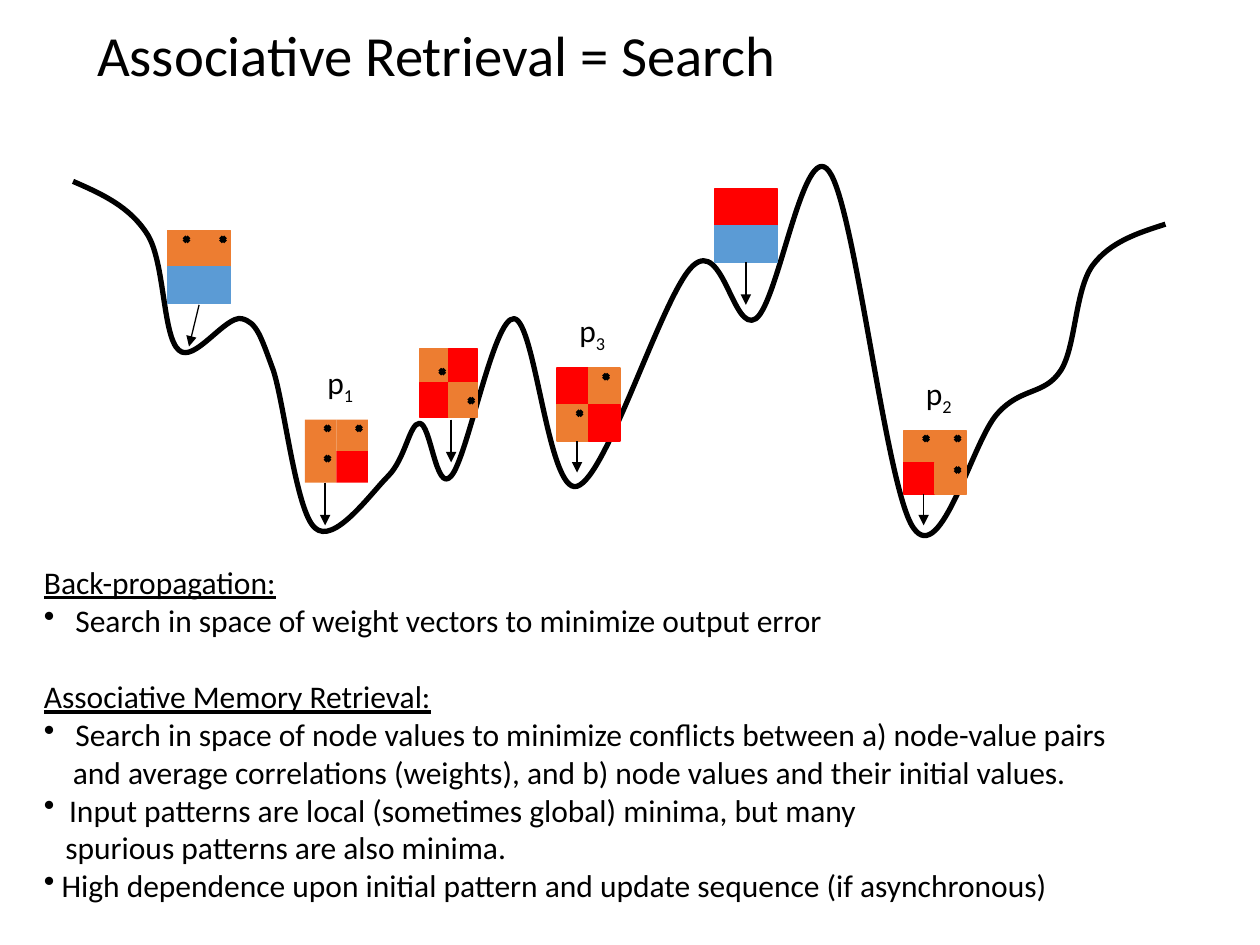
import dataclasses
import typing

import lxml.etree
import pptx
import pptx.dml.color
import pptx.enum.shapes
import pptx.enum.text
import pptx.oxml.ns
import pptx.util

Inches = pptx.util.Inches
qn = pptx.oxml.ns.qn
RGB = pptx.dml.color.RGBColor.from_string


@dataclasses.dataclass(frozen=True)
class Theme:
    font: str = "Calibri"
    ink: str = "000000"
    orange: str = "ED7D31"
    red: str = "FF0000"
    blue: str = "5B9BD5"
    title: float = 32.4
    body: float = 18
    curve: float = 3
    dot: float = 2.25
    thin: float = 0.75


class Tile(typing.NamedTuple):
    """Two by two cells; hues run row by row, dots are upper left corners."""
    left: float
    top: float
    wide: float
    high: float
    hues: str
    dots: tuple = ()
    edge: bool = True


class Arrow(typing.NamedTuple):
    start: tuple
    end: tuple


class Label(typing.NamedTuple):
    left: float
    top: float
    index: str


class Line(typing.NamedTuple):
    text: str
    indent: float = 0
    bullet: bool = False
    head: bool = False
    before: float = 0


THEME = Theme()
HUES = {"O": THEME.orange, "R": THEME.red, "B": THEME.blue}
DOT = 0.04

# Hundredths of an inch: a start point, then three points for each curve piece
CURVE = [
    (58, 144),
    (81, 154), (103, 164), (117, 186), (131, 208), (129, 267), (142, 278),
    (154, 289), (179, 250), (192, 253), (204, 256), (207, 267), (217, 294),
    (226, 322), (235, 406), (250, 419), (265, 433), (294, 392), (308, 378),
    (322, 364), (325, 336), (333, 336), (342, 336), (346, 392), (358, 378),
    (371, 364), (392, 251), (408, 253), (425, 254), (435, 393), (458, 386),
    (482, 379), (526, 233), (550, 211), (574, 189), (582, 265), (600, 253),
    (618, 240), (638, 108), (658, 136), (679, 164), (703, 388), (725, 419),
    (747, 451), (772, 349), (792, 328), (811, 307), (829, 314), (842, 294),
    (854, 275), (853, 231), (867, 211), (881, 192), (903, 185), (925, 178),
]
TILES = [
    Tile(7.17, 3.42, 0.25, 0.25, "OORO", ((7.58, 3.71), (7.33, 3.46), (7.58, 3.46))),
    Tile(4.42, 2.92, 0.25, 0.29, "ROOR", ((4.79, 2.97), (4.58, 3.26))),
    Tile(2.42, 3.33, 0.25, 0.25, "OOOR",
         ((2.83, 3.38), (2.58, 3.38), (2.58, 3.62)), edge=False),
    Tile(3.33, 2.77, 0.23, 0.27, "ORRO", ((3.72, 3.16), (3.49, 2.93))),
    Tile(1.33, 1.83, 0.25, 0.29, "OOBB", ((1.46, 1.88), (1.75, 1.88))),
    Tile(5.67, 1.5, 0.25, 0.29, "RRBB"),
]
ARROWS = [
    Arrow((3.58, 3.33), (3.58, 3.67)),
    Arrow((2.58, 3.83), (2.58, 4.17)),
    Arrow((7.33, 3.92), (7.33, 4.17)),
    Arrow((4.58, 3.5), (4.58, 3.75)),
    Arrow((1.58, 2.42), (1.5, 2.75)),
    Arrow((5.92, 2.08), (5.92, 2.42)),
]
LABELS = [Label(2.5, 2.83, "1"), Label(7.25, 2.92, "2"), Label(4.5, 2.42, "3")]
NOTES = [
    Line("Back-propagation:", head=True),
    Line("Search in space of weight vectors to minimize output error", 0.25, True),
    Line("Associative Memory Retrieval:", head=True, before=22),
    Line("Search in space of node values to minimize conflicts between "
         "a) node-value pairs", 0.25, True),
    Line("and average correlations (weights), and b) node values and "
         "their initial values.", 0.23),
    Line("Input patterns are local (sometimes global) minima, but many", 0.2, True),
    Line("spurious patterns are also minima.", 0.17),
    Line("High dependence upon initial pattern and update sequence "
         "(if asynchronous)", 0.14, True),
]


def assign(thing, values: dict) -> None:
    for name, value in values.items():
        setattr(thing, name, value)


def set_font(font, size: float, **more) -> None:
    assign(font, {"name": THEME.font, "size": pptx.util.Pt(size), **more})
    font.color.rgb = RGB(THEME.ink)


def set_line(line, hue: str, width: float) -> None:
    line.color.rgb = RGB(hue)
    line.width = pptx.util.Pt(width)


def draw_curve(shapes, points: list) -> None:
    """Turn each run of three line points into one Bezier piece."""
    form = shapes.build_freeform(*points[0], scale=Inches(0.01))
    form.add_line_segments(points[1:], close=False)
    shape = form.convert_to_shape()
    shape.fill.background()
    set_line(shape.line, THEME.ink, THEME.curve)
    shape.shadow.inherit = False
    track = shape._element.find(".//" + qn("a:path"))
    steps = track.findall(qn("a:lnTo"))
    for first in range(0, len(steps), 3):
        piece = lxml.etree.SubElement(track, qn("a:cubicBezTo"))
        for step in steps[first:first + 3]:
            piece.append(step[0])
            track.remove(step)


def draw_line(shapes, start: tuple, end: tuple, width: float, head: bool = False) -> None:
    ends = [Inches(value) for value in (*start, *end)]
    line = shapes.add_connector(pptx.enum.shapes.MSO_CONNECTOR.STRAIGHT, *ends)
    set_line(line.line, THEME.ink, width)
    if head:
        tip = lxml.etree.SubElement(line.line._get_or_add_ln(), qn("a:tailEnd"))
        tip.set("type", "triangle")
    lxml.etree.SubElement(line._element.spPr, qn("a:effectLst"))


def draw_tile(shapes, tile: Tile) -> None:
    group = shapes.add_group_shape().shapes
    for place, key in enumerate(tile.hues):
        row, col = divmod(place, 2)
        box = (tile.left + col * tile.wide, tile.top + row * tile.high,
               tile.wide, tile.high)
        cell = group.add_shape(pptx.enum.shapes.MSO_SHAPE.RECTANGLE, *map(Inches, box))
        cell.shadow.inherit = False
        cell.fill.solid()
        cell.fill.fore_color.rgb = RGB(HUES[key])
        if tile.edge:
            set_line(cell.line, HUES[key], THEME.thin)
        else:
            cell.line.fill.background()
    for x, y in tile.dots:
        draw_line(group, (x, y), (x + DOT, y + DOT), THEME.dot)
        draw_line(group, (x + DOT, y), (x, y + DOT), THEME.dot)


def draw_label(shapes, label: Label) -> None:
    box = shapes.add_textbox(*map(Inches, (label.left, label.top, 0.41, 0.4)))
    assign(box.text_frame, {"word_wrap": False,
                            "auto_size": pptx.enum.text.MSO_AUTO_SIZE.SHAPE_TO_FIT_TEXT})
    para = box.text_frame.paragraphs[0]
    for text, base in (("p", 0), (label.index, -25000)):
        run = para.add_run()
        run.text = text
        set_font(run.font, THEME.body)
        if base:
            run._r.get_or_add_rPr().set("baseline", str(base))


def draw_notes(shapes, lines: list) -> None:
    frame = shapes.add_textbox(*map(Inches, (0.25, 4.42, 9.28, 2.9))).text_frame
    frame.word_wrap = True
    for place, line in enumerate(lines):
        para = frame.add_paragraph() if place else frame.paragraphs[0]
        props = para._p.get_or_add_pPr()
        margin = Inches(line.indent)
        props.set("marL", str(margin))
        props.set("indent", str(-margin if line.bullet else 0))
        if line.before:
            para.space_before = pptx.util.Pt(line.before)
        if line.bullet:
            lxml.etree.SubElement(props, qn("a:buChar")).set("char", "•")
        run = para.add_run()
        run.text = line.text
        set_font(run.font, THEME.body, underline=line.head)


def draw_title(title) -> None:
    assign(title, dict(zip(("left", "top", "width", "height"),
                           map(Inches, (0.67, 0.25, 8.5, 0.42)))))
    title.text = "Associative Retrieval = Search"
    assign(title.text_frame, {"auto_size": pptx.enum.text.MSO_AUTO_SIZE.NONE,
                              "vertical_anchor": pptx.enum.text.MSO_ANCHOR.MIDDLE})
    para = title.text_frame.paragraphs[0]
    assign(para, {"alignment": pptx.enum.text.PP_ALIGN.LEFT, "line_spacing": 0.9})
    set_font(para.runs[0].font, THEME.title)


def main() -> None:
    deck = pptx.Presentation()
    assign(deck, {"slide_width": Inches(10), "slide_height": Inches(7.5)})
    shapes = deck.slides.add_slide(deck.slide_layouts[5]).shapes
    draw_title(shapes.title)
    draw_curve(shapes, CURVE)
    draw_notes(shapes, NOTES)
    for tile in TILES:
        draw_tile(shapes, tile)
    for label in LABELS:
        draw_label(shapes, label)
    for arrow in ARROWS:
        draw_line(shapes, arrow.start, arrow.end, THEME.thin, head=True)
    deck.save("out.pptx")


if __name__ == "__main__":
    main()
